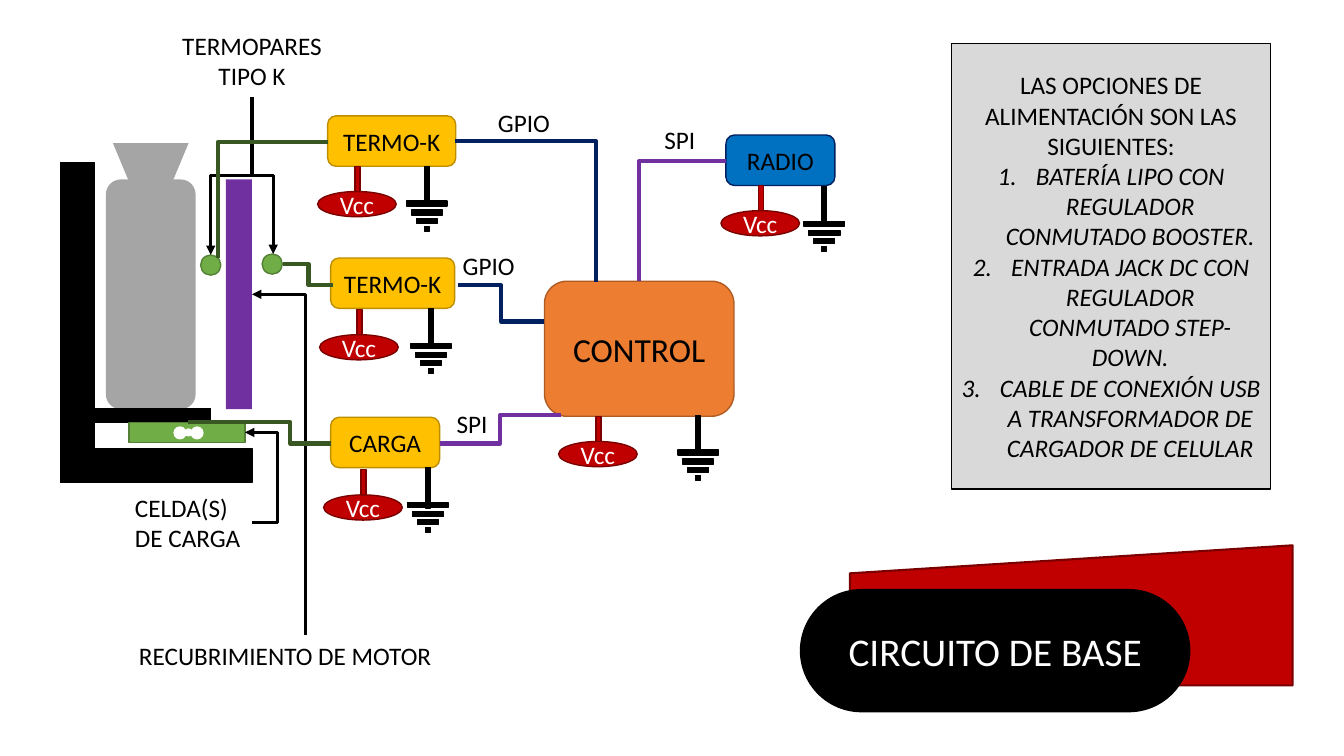
from lxml import etree
from pptx import Presentation
from pptx.dml.color import RGBColor
from pptx.enum import shapes, text
from pptx.oxml.ns import qn
from pptx.util import Inches, Pt

BLACK = RGBColor(0x00, 0x00, 0x00)
WHITE = RGBColor(0xFF, 0xFF, 0xFF)
GRAY = RGBColor(0xA5, 0xA5, 0xA5)
PALE = RGBColor(0xD9, 0xD9, 0xD9)
GREEN = RGBColor(0x70, 0xAD, 0x47)
MOSS = RGBColor(0x53, 0x80, 0x35)
FOREST = RGBColor(0x38, 0x57, 0x23)
PURPLE = RGBColor(0x70, 0x30, 0xA0)
GOLD = RGBColor(0xFF, 0xC0, 0x00)
OCHRE = RGBColor(0xBD, 0x8E, 0x00)
ORANGE = RGBColor(0xED, 0x7D, 0x31)
RUST = RGBColor(0xAF, 0x5C, 0x24)
BLUE = RGBColor(0x00, 0x70, 0xC0)
NAVY = RGBColor(0x00, 0x20, 0x60)
RED = RGBColor(0xC0, 0x00, 0x00)
MAROON = RGBColor(0x7A, 0x00, 0x00)

RECT = shapes.MSO_SHAPE.RECTANGLE
ROUND = shapes.MSO_SHAPE.ROUNDED_RECTANGLE
OVAL = shapes.MSO_SHAPE.OVAL
LEFT, CENTER = text.PP_ALIGN.LEFT, text.PP_ALIGN.CENTER

TITLE = "CIRCUITO DE BASE"
TITLE_BOX = (7.94, 5.85, 3.86, 1.21)
BANNER_BOX = (8.43, 5.41, 4.39, 1.39)
NOZZLE_BOX = (1.12, 1.42, 0.75, 0.9)
OPTIONS_BOX = (9.44, 0.43, 3.16, 4.42)
OPTIONS_INTRO = "LAS OPCIONES DE ALIMENTACIÓN SON LAS SIGUIENTES:"
OPTIONS = [
    "BATERÍA LIPO CON REGULADOR CONMUTADO BOOSTER.",
    "ENTRADA JACK DC CON REGULADOR CONMUTADO STEP-DOWN.",
    "CABLE DE CONEXIÓN USB A TRANSFORMADOR DE CARGADOR DE CELULAR",
]

MOTOR_STAND = [
    (RECT, (0.6, 1.61, 0.34, 3.17), BLACK, BLACK),
    (RECT, (0.6, 4.45, 1.9, 0.34), BLACK, BLACK),
    (ROUND, (1.05, 1.78, 0.89, 2.28), GRAY, None),
    (RECT, (0.94, 4.05, 1.15, 0.14), BLACK, BLACK),
    (RECT, (1.28, 4.19, 1.15, 0.2), GREEN, MOSS),
    (OVAL, (1.83, 4.25, 0.08, 0.08), WHITE, None),
    (OVAL, (1.89, 4.23, 0.13, 0.13), WHITE, None),
    (OVAL, (1.72, 4.23, 0.13, 0.13), WHITE, None),
    (RECT, (2.24, 1.78, 0.26, 2.28), PURPLE, None),
    (OVAL, (1.99, 2.53, 0.2, 0.2), GREEN, MOSS),
    (OVAL, (2.6, 2.52, 0.2, 0.2), GREEN, MOSS),
]

CHIPS = [
    ("TERMO-K", (3.25, 1.15, 1.27, 0.5), GOLD, OCHRE, 18),
    ("TERMO-K", (3.28, 2.56, 1.23, 0.5), GOLD, OCHRE, 18),
    ("CARGA", (3.28, 4.14, 1.08, 0.5), GOLD, OCHRE, 18),
    ("CONTROL", (5.4, 2.79, 1.88, 1.34), ORANGE, RUST, 24),
    ("RADIO", (7.2, 1.34, 1.08, 0.5), BLUE, NAVY, 18),
]

GROUNDS = [(4.21, 1.65), (4.25, 3.06), (4.22, 4.64), (6.9, 4.12), (8.15, 1.85)]
GROUND_BARS = [(0.37, 0.4), (0.46, 0.31), (0.54, 0.21), (0.62, 0.05)]
SUPPLIES = [(3.52, 1.65), (3.54, 3.07), (3.58, 4.66), (5.91, 4.13), (7.52, 1.84)]

LABELS = [
    ("TERMOPARES TIPO K", (1.7, 0.25, 1.6, 0.71), CENTER, True),
    ("CELDA(S) DE CARGA", (1.24, 4.83, 1.27, 0.71), LEFT, True),
    ("RECUBRIMIENTO DE MOTOR", (1.28, 6.3, 3.5, 0.4), LEFT, True),
    ("SPI", (6.49, 1.18, 0.51, 0.4), LEFT, False),
    ("SPI", (4.43, 4.0, 0.51, 0.4), LEFT, False),
    ("GPIO", (4.84, 1.02, 0.72, 0.4), LEFT, False),
    ("GPIO", (4.49, 2.43, 0.72, 0.4), LEFT, False),
]

POINTERS = [
    ((2.5, 0.96), (2.09, 2.53), "v", 1.74),
    ((2.5, 0.96), (2.71, 2.52), "v", 1.74),
    ((3.03, 6.3), (2.5, 2.92), "v", None),
    ((2.5, 5.18), (2.43, 4.29), "h", 2.75),
]
WIRES = [
    ((2.16, 2.56), (3.25, 1.41), "v", None, FOREST),
    ((2.81, 2.62), (3.3, 2.83), "h", 3.06, FOREST),
    ((1.86, 4.19), (3.28, 4.4), "h", 2.88, FOREST),
    ((4.51, 1.4), (5.91, 2.8), "h", None, NAVY),
    ((4.54, 2.83), (5.4, 3.19), "h", 4.97, NAVY),
    ((4.36, 4.4), (5.56, 4.12), "h", 4.96, PURPLE),
    ((6.34, 2.79), (7.2, 1.6), "v", None, PURPLE),
]

prs = Presentation()
prs.slide_width, prs.slide_height = Inches(13.33), Inches(7.5)
slide = prs.slides.add_slide(prs.slide_layouts[5])


def inches(box):
    return [Inches(length) for length in box]


def write(holder, *lines, size=18, color=BLACK, align=CENTER, margin=0.1,
          anchor=text.MSO_ANCHOR.MIDDLE, wrap=True, numbered=False):
    frame = holder.text_frame
    frame.auto_size = text.MSO_AUTO_SIZE.NONE
    frame.word_wrap = wrap
    frame.vertical_anchor = anchor
    frame.margin_left = frame.margin_right = Inches(margin)
    frame.margin_top = frame.margin_bottom = Inches(margin / 2)
    for i, line in enumerate(lines):
        paragraph = frame.paragraphs[0] if i == 0 else frame.add_paragraph()
        paragraph.alignment = align
        run = paragraph.add_run()
        run.text = line
        run.font.name, run.font.size = "Calibri", Pt(size)
        run.font.color.rgb = color
        if numbered and i > 0:
            run.font.italic = True
            props = paragraph._p.get_or_add_pPr()
            props.set("marL", str(Inches(0.38)))
            props.set("indent", str(-Inches(0.38)))
            etree.SubElement(props, qn("a:buFont"), typeface="+mj-lt")
            etree.SubElement(props, qn("a:buAutoNum"), type="arabicPeriod")


def draw(kind, box, fill, line=None, weight=1):
    part = slide.shapes.add_shape(kind, *inches(box))
    part.shadow.inherit = False
    part.fill.solid()
    part.fill.fore_color.rgb = fill
    if line is None:
        part.line.fill.background()
    else:
        part.line.color.rgb = line
        part.line.width = Pt(weight)
    return part


def wire(start, end, direction, bend, color, weight=3, arrow=False):
    (x1, y1), (x2, y2) = start, end
    width, height = abs(x2 - x1), abs(y2 - y1)
    vertical = direction == "v"
    if vertical:
        width, height = height, width
    left, top = (x1 + x2 - width) / 2, (y1 + y2 - height) / 2
    elbow = slide.shapes.add_connector(
        shapes.MSO_CONNECTOR.ELBOW, *inches((left, top, left + width, top + height)))
    elbow.line.color.rgb = color
    elbow.line.width = Pt(weight)
    props = elbow._element.spPr
    frame = props.find(qn("a:xfrm"))
    if vertical:
        frame.set("rot", "5400000")
    flip_h, flip_v = (y2 < y1, x2 > x1) if vertical else (x2 < x1, y2 < y1)
    frame.set("flipH", str(int(flip_h)))
    frame.set("flipV", str(int(flip_v)))
    outline = props.find(qn("a:prstGeom"))
    if bend is None:
        outline.set("prst", "bentConnector2")
    else:
        first, last = (y1, y2) if vertical else (x1, x2)
        ratio = round((bend - first) / (last - first) * 100000)
        etree.SubElement(outline.find(qn("a:avLst")), qn("a:gd"),
                         name="adj1", fmla=f"val {ratio}")
    if arrow:
        etree.SubElement(props.find(qn("a:ln")), qn("a:tailEnd"), type="triangle")
    etree.SubElement(props, qn("a:effectLst"))


nozzle = draw(shapes.MSO_SHAPE.ISOSCELES_TRIANGLE, NOZZLE_BOX, GRAY)
nozzle.rotation = 180
for kind, box, fill, line in MOTOR_STAND:
    draw(kind, box, fill, line)

for name, box, fill, line, size in CHIPS:
    write(draw(ROUND, box, fill, line), name, size=size, margin=0)

for x, y in GROUNDS:
    draw(RECT, (x, y, 0.05, 0.4), BLACK, BLACK)
    for drop, width in GROUND_BARS:
        draw(RECT, (x + 0.025 - width / 2, y + drop - 0.025, width, 0.05), BLACK, BLACK)

for x, y in SUPPLIES:
    draw(RECT, (x, y, 0.05, 0.25), RED, MAROON)
    supply = draw(OVAL, (x - 0.37, y + 0.25, 0.78, 0.25), RED, MAROON)
    write(supply, "Vcc", color=WHITE, margin=0, wrap=False)

for start, end, direction, bend in POINTERS:
    wire(start, end, direction, bend, BLACK, weight=2.25, arrow=True)
for start, end, direction, bend, color in WIRES:
    wire(start, end, direction, bend, color)

for label, box, align, wrap in LABELS:
    write(slide.shapes.add_textbox(*inches(box)), label, align=align, wrap=wrap,
          anchor=text.MSO_ANCHOR.TOP)

options = draw(RECT, OPTIONS_BOX, PALE, BLACK)
write(options, OPTIONS_INTRO, *OPTIONS, margin=0.09, numbered=True)

draw(shapes.MSO_SHAPE.FLOWCHART_MANUAL_INPUT, BANNER_BOX, RED, MAROON, weight=1.5)
pill = draw(ROUND, TITLE_BOX, BLACK, BLACK)
pill.adjustments[0] = 0.5
title = slide.shapes.title
title.left, title.top, title.width, title.height = inches(TITLE_BOX)
write(title, TITLE, size=28, color=WHITE)
pill._element.addnext(title._element)

prs.save("out.pptx")
